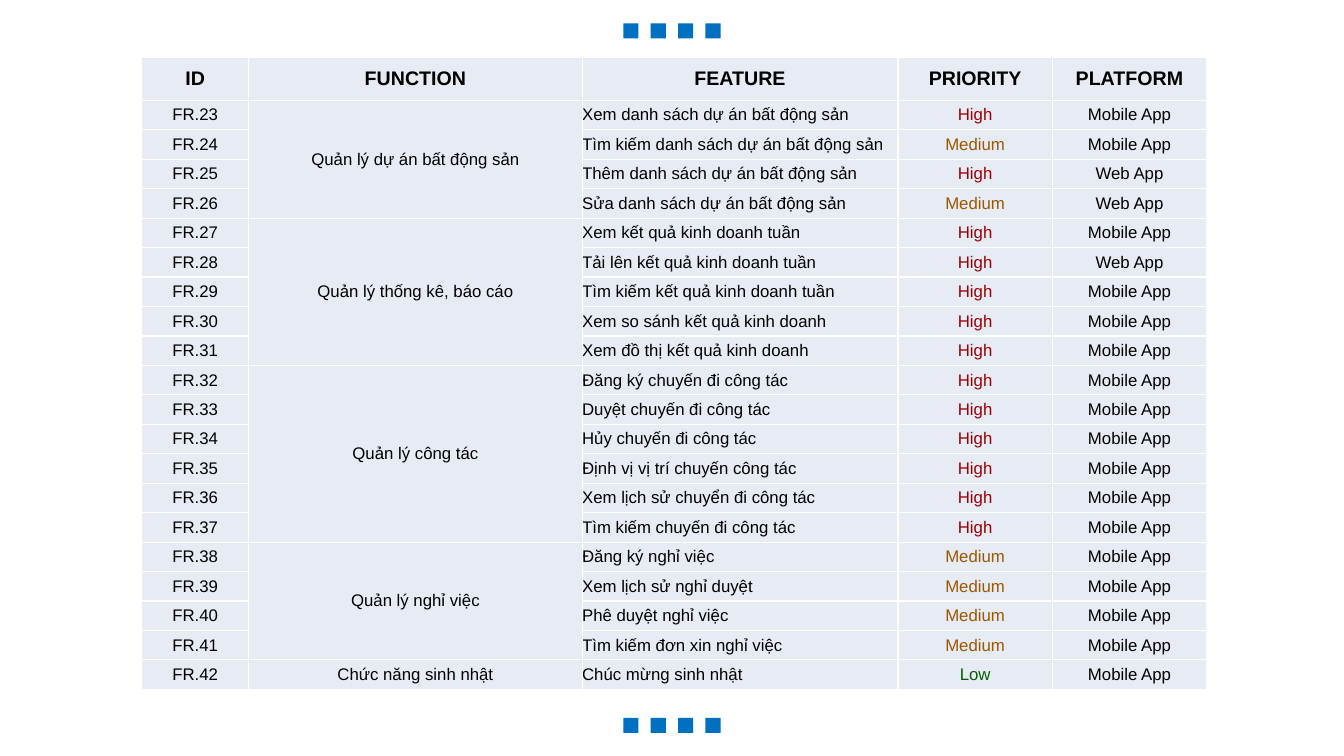
from dataclasses import dataclass

import pptx
import pptx.util
import pptx.dml.color
import pptx.enum.shapes
import pptx.enum.text
import pptx.oxml
import pptx.oxml.ns
import pptx.slide
import pptx.table

Cm = pptx.util.Cm
Pt = pptx.util.Pt
RGB = pptx.dml.color.RGBColor
ALIGN = pptx.enum.text.PP_ALIGN


# Theme
@dataclass(frozen=True)
class Theme:
    font: str = "Arial"
    header_size: float = 14
    body_size: float = 12
    border_width: float = 1
    text: str = "000000"
    accent: str = "0070C0"
    cell: str = "E7EBF4"
    border: str = "FFFFFF"
    high: str = "9C0006"
    medium: str = "9C5700"
    low: str = "006100"


THEME = Theme()
PRIORITY_COLORS = {"High": THEME.high, "Medium": THEME.medium, "Low": THEME.low}


# Content
@dataclass(frozen=True)
class Feature:
    name: str
    priority: str = "High"
    platform: str = "Mobile App"


@dataclass(frozen=True)
class Function:
    name: str
    features: list[Feature]


FIRST_ID = 23
HEADERS = ["ID", "FUNCTION", "FEATURE", "PRIORITY", "PLATFORM"]
FUNCTIONS = [
    Function("Quản lý dự án bất động sản", [
        Feature("Xem danh sách dự án bất động sản"),
        Feature("Tìm kiếm danh sách dự án bất động sản", "Medium"),
        Feature("Thêm danh sách dự án bất động sản", platform="Web App"),
        Feature("Sửa danh sách dự án bất động sản", "Medium", "Web App"),
    ]),
    Function("Quản lý thống kê, báo cáo", [
        Feature("Xem kết quả kinh doanh tuần"),
        Feature("Tải lên kết quả kinh doanh tuần", platform="Web App"),
        Feature("Tìm kiếm kết quả kinh doanh tuần"),
        Feature("Xem so sánh kết quả kinh doanh"),
        Feature("Xem đồ thị kết quả kinh doanh"),
    ]),
    Function("Quản lý công tác", [
        Feature("Đăng ký chuyến đi công tác"),
        Feature("Duyệt chuyến đi công tác"),
        Feature("Hủy chuyến đi công tác"),
        Feature("Định vị vị trí chuyến công tác"),
        Feature("Xem lịch sử chuyển đi công tác"),
        Feature("Tìm kiếm chuyến đi công tác"),
    ]),
    Function("Quản lý nghỉ việc", [
        Feature("Đăng ký nghỉ việc", "Medium"),
        Feature("Xem lịch sử nghỉ duyệt", "Medium"),
        Feature("Phê duyệt nghỉ việc", "Medium"),
        Feature("Tìm kiếm đơn xin nghỉ việc", "Medium"),
    ]),
    Function("Chức năng sinh nhật", [Feature("Chúc mừng sinh nhật", "Low")]),
]

# Geometry in centimetres
TABLE_LEFT, TABLE_TOP = 3.57, 1.45
COLUMN_WIDTHS = [2.7, 8.4, 7.96, 3.89, 3.89]
HEADER_HEIGHT, ROW_HEIGHT = 1.08, 0.742
SQUARE_LEFT, SQUARE_PITCH, SQUARE_SIZE = 15.71, 0.69, 0.38
SQUARE_TOPS = [0.59, 18.09]


def add_squares(s: pptx.slide.Slide, top: float) -> None:
    for i in range(4):
        sp = s.shapes.add_shape(
            pptx.enum.shapes.MSO_SHAPE.RECTANGLE,
            Cm(SQUARE_LEFT + i * SQUARE_PITCH), Cm(top),
            Cm(SQUARE_SIZE), Cm(SQUARE_SIZE))
        sp.shadow.inherit = False
        sp.fill.solid()
        sp.fill.fore_color.rgb = RGB.from_string(THEME.accent)
        sp.line.fill.background()


def style_cell(cell: pptx.table._Cell) -> None:
    cell.margin_left = cell.margin_right = cell.margin_top = cell.margin_bottom = 0
    cell.vertical_anchor = pptx.enum.text.MSO_ANCHOR.MIDDLE
    tc_pr = cell._tc.get_or_add_tcPr()
    for side in "LRTB":
        tc_pr.append(pptx.oxml.parse_xml(
            f'<a:ln{side} {pptx.oxml.ns.nsdecls("a")} w="{Pt(THEME.border_width)}">'
            f'<a:solidFill><a:srgbClr val="{THEME.border}"/></a:solidFill></a:ln{side}>'))
    cell.fill.solid()
    cell.fill.fore_color.rgb = RGB.from_string(THEME.cell)


def write_cell(cell: pptx.table._Cell, text: str, color: str = THEME.text,
               align: ALIGN = ALIGN.CENTER, header: bool = False) -> None:
    p = cell.text_frame.paragraphs[0]
    p.alignment = align
    r = p.add_run()
    r.text = text
    r.font.name = THEME.font
    r.font.size = Pt(THEME.header_size if header else THEME.body_size)
    r.font.bold = header
    r.font.color.rgb = RGB.from_string(color)


def add_feature_table(s: pptx.slide.Slide) -> None:
    count = sum(len(function.features) for function in FUNCTIONS)
    table = s.shapes.add_table(
        count + 1, len(HEADERS), Cm(TABLE_LEFT), Cm(TABLE_TOP),
        Cm(sum(COLUMN_WIDTHS)), Cm(HEADER_HEIGHT + count * ROW_HEIGHT)).table
    table.first_row = table.horz_banding = False
    for column, width in zip(table.columns, COLUMN_WIDTHS):
        column.width = Cm(width)
    for i, row in enumerate(table.rows):
        row.height = Cm(ROW_HEIGHT if i else HEADER_HEIGHT)
    for cell in table.iter_cells():
        style_cell(cell)

    # Header row
    for column, header in enumerate(HEADERS):
        write_cell(table.cell(0, column), header, header=True)

    # One merged function cell beside its features
    row = 1
    for function in FUNCTIONS:
        function_cell = table.cell(row, 1)
        if len(function.features) > 1:
            function_cell.merge(table.cell(row + len(function.features) - 1, 1))
        write_cell(function_cell, function.name)
        for feature in function.features:
            write_cell(table.cell(row, 0), f"FR.{FIRST_ID + row - 1}")
            write_cell(table.cell(row, 2), feature.name, align=ALIGN.LEFT)
            write_cell(table.cell(row, 3), feature.priority,
                       PRIORITY_COLORS[feature.priority])
            write_cell(table.cell(row, 4), feature.platform)
            row += 1


def main() -> None:
    prs = pptx.Presentation()
    prs.slide_width, prs.slide_height = Cm(33.87), Cm(19.05)
    s = prs.slides.add_slide(prs.slide_layouts.get_by_name("Blank"))
    for top in SQUARE_TOPS:
        add_squares(s, top)
    add_feature_table(s)
    prs.save("out.pptx")


if __name__ == "__main__":
    main()
